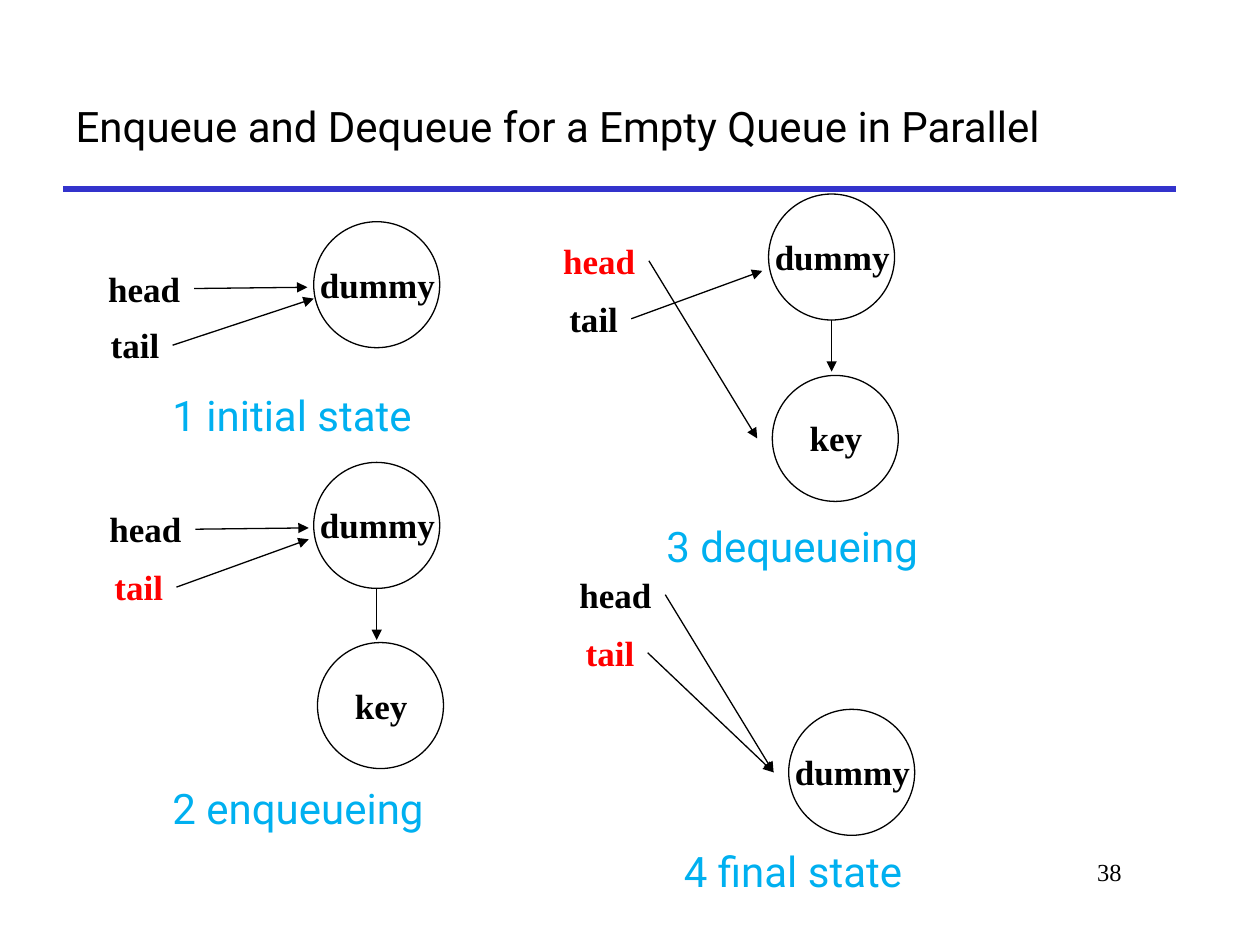
from lxml.etree import SubElement
from pptx import Presentation
from pptx.dml.color import RGBColor
from pptx.enum.shapes import MSO_CONNECTOR as Connector, MSO_SHAPE as Shape
from pptx.enum.text import MSO_ANCHOR as Anchor, MSO_AUTO_SIZE as AutoSize, PP_ALIGN as Align
from pptx.oxml.ns import qn
from pptx.util import Emu, Pt

EMU_PER_PX = 9144
COLORS = {"ink": "000000", "changed": "FF0000", "caption": "00B0F0", "rule": "3333CC"}
SANS, SERIF = "Roboto", "Times New Roman"
NODE_SIZE = 100

STATES = [
    {"caption": ("1 initial state", 127, 304), "nodes": [("dummy", 249, 176)],
     "head": ((76, 207), (244, 228), "ink"), "tail": ((78, 252), (249, 237), "ink")},
    {"caption": ("2 enqueueing", 127, 616), "nodes": [("dummy", 249, 367), ("key", 252, 510)],
     "head": ((77, 398), (245, 419), "ink"), "tail": ((81, 444), (245, 428), "changed")},
    {"caption": ("3 dequeueing", 519, 408), "nodes": [("dummy", 610, 154), ("key", 613, 298)],
     "head": ((437, 185), (601, 348), "changed"), "tail": ((442, 231), (605, 215), "ink")},
    {"caption": ("4 final state", 533, 666), "nodes": [("dummy", 626, 563)],
     "head": ((450, 450), (614, 613), "ink"), "tail": ((455, 496), (614, 613), "changed")},
]


def px(*lengths):
    return [Emu(length * EMU_PER_PX) for length in lengths]


class QueueSlide:
    """Draws the queue diagrams on the current slide in one shared style."""

    def __init__(self, presentation):
        self.slide = presentation.slides.add_slide(presentation.slide_layouts[5])
        self.shapes = self.slide.shapes

    def style(self, paragraph, size, font, color, bold=False, align=Align.LEFT):
        paragraph.alignment = align
        paragraph.font.size, paragraph.font.name, paragraph.font.bold = Pt(size), font, bold
        paragraph.font.color.rgb = RGBColor.from_string(COLORS[color])

    def title(self, text, box):
        title = self.slide.shapes.title
        title.left, title.top, title.width, title.height = px(*box)
        title.text_frame.text = text
        title.text_frame.vertical_anchor = Anchor.MIDDLE
        title.text_frame.auto_size = AutoSize.NONE
        self.style(title.text_frame.paragraphs[0], 24, SANS, "ink")

    def text(self, text, box, size, font, color="ink", wrap=True, **look):
        frame = self.shapes.add_textbox(*px(*box)).text_frame
        frame.word_wrap = wrap
        frame.auto_size = AutoSize.SHAPE_TO_FIT_TEXT
        frame.text = text
        self.style(frame.paragraphs[0], size, font, color, **look)

    def line(self, start, end, color="ink", width=0.75, arrow=True):
        line = self.shapes.add_connector(Connector.STRAIGHT, *px(*start, *end))
        line.line.color.rgb = RGBColor.from_string(COLORS[color])
        line.line.width = Pt(width)
        if arrow:
            SubElement(line.line._get_or_add_ln(), qn("a:tailEnd"), type="triangle")
        SubElement(line._element.spPr, qn("a:effectLst"))

    def node(self, name, left, top):
        circle = self.shapes.add_shape(Shape.OVAL, *px(left, top, NODE_SIZE, NODE_SIZE))
        circle.shadow.inherit = False
        circle.fill.background()
        circle.line.color.rgb = RGBColor.from_string(COLORS["ink"])
        circle.line.width = Pt(0.75)
        self.text(name, (left - 12, top + 28, 125, 44), 20, SERIF, bold=True, align=Align.CENTER)

    def pointer(self, name, width, position, tip, color):
        left, top = position
        self.text(name, (left, top, width, 44), 20, SERIF, color, wrap=name != "head", bold=True)
        self.line((left + width, top + 22), tip)

    def state(self, caption, nodes, head, tail):
        self.shapes = self.slide.shapes.add_group_shape().shapes
        for node in nodes:
            self.node(*node)
        if len(nodes) > 1:
            _, left, top = nodes[0]
            middle, bottom = left + NODE_SIZE // 2, top + NODE_SIZE
            self.line((middle, bottom), (middle, bottom + 41))
        self.pointer("tail", 59, *tail)
        self.pointer("head", 78, *head)
        self.shapes = self.slide.shapes
        words, left, top = caption
        self.text(words, (left, top, 281, 51), 24, SANS, "caption")


def main():
    presentation = Presentation()
    presentation.slide_width, presentation.slide_height = px(1000, 750)
    queue = QueueSlide(presentation)
    queue.line((50, 150), (933, 150), "rule", 3, arrow=False)
    queue.text("38", (758, 675, 142, 50), 14, SERIF, align=Align.RIGHT)
    queue.title("Enqueue and Dequeue for a Empty Queue in Parallel", (50, 50, 883, 100))
    for state in STATES:
        queue.state(**state)
    presentation.save("out.pptx")


if __name__ == "__main__":
    main()
